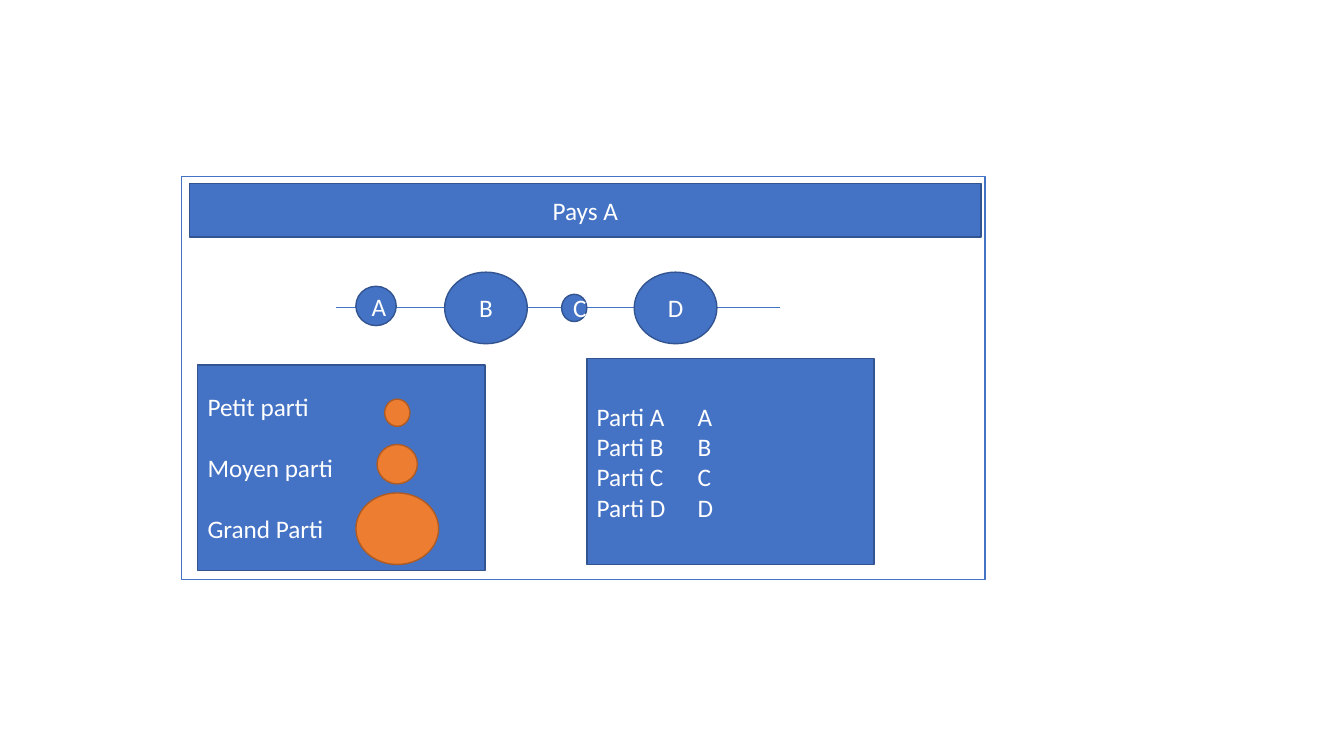
from pptx import Presentation
from pptx.dml.color import RGBColor
from pptx.enum.shapes import MSO_CONNECTOR, MSO_SHAPE
from pptx.enum.text import MSO_ANCHOR, PP_ALIGN
from pptx.oxml.ns import qn
from pptx.util import Inches, Pt
from lxml import etree

BLUE = RGBColor(0x44, 0x72, 0xC4)
DARK_BLUE = RGBColor(0x32, 0x54, 0x91)
ORANGE = RGBColor(0xED, 0x7D, 0x31)
DARK_ORANGE = RGBColor(0xAF, 0x5C, 0x24)
WHITE = RGBColor(0xFF, 0xFF, 0xFF)
PROCESS = MSO_SHAPE.FLOWCHART_PROCESS
CIRCLE = MSO_SHAPE.FLOWCHART_CONNECTOR
STRAIGHT = MSO_CONNECTOR.STRAIGHT
MIDDLE = MSO_ANCHOR.MIDDLE
LEFT, CENTER = PP_ALIGN.LEFT, PP_ALIGN.CENTER

SMALL = (0.25, 0.27)
MEDIUM = (0.4, 0.39)
LARGE = (0.82, 0.71)
PANEL = (2.85, 2.04)

deck = Presentation()
deck.slide_width, deck.slide_height = Inches(13.33), Inches(7.5)
page = deck.slides.add_slide(deck.slide_layouts[6])


def add_box(kind, left, top, size, fill=BLUE, outline=DARK_BLUE):
    box = page.shapes.add_shape(kind, Inches(left), Inches(top), Inches(size[0]), Inches(size[1]))
    box.shadow.inherit = False
    box.fill.solid()
    box.fill.fore_color.rgb = fill
    box.line.color.rgb = outline
    box.line.width = Pt(1)
    return box


def add_text(box, lines, align=CENTER, gap=0):
    frame = box.text_frame
    frame.word_wrap = True
    frame.vertical_anchor = MIDDLE
    for index, line in enumerate(lines):
        para = frame.add_paragraph() if index else frame.paragraphs[0]
        para.alignment = align
        if index:
            para.space_before = Pt(gap)
        span = para.add_run()
        span.text = line
        span.font.name = "Calibri"
        span.font.size = Pt(18)
        span.font.color.rgb = WHITE


add_box(PROCESS, 1.8, 1.75, (7.97, 4), WHITE, BLUE)

axis = page.shapes.add_connector(STRAIGHT, Inches(3.33), Inches(3.05), Inches(7.74), Inches(3.05))
axis.line.color.rgb = BLUE
axis.line.width = Pt(0.5)
etree.SubElement(axis._element.spPr, qn("a:effectLst"))

parties = [
    ("A", 3.53, 2.84, MEDIUM),
    ("B", 4.41, 2.7, LARGE),
    ("D", 6.29, 2.7, LARGE),
    ("C", 5.57, 2.92, SMALL),
]
for name, left, top, size in parties:
    add_text(add_box(CIRCLE, left, top, size), [name])

add_text(add_box(PROCESS, 1.88, 1.82, (7.85, 0.53)), ["Pays A"])

size_legend = add_box(PROCESS, 1.96, 3.62, PANEL)
add_text(size_legend, ["Petit parti", "Moyen parti", "Grand Parti"], LEFT, 22)
for top, size in [(3.96, SMALL), (4.41, MEDIUM), (4.89, LARGE)]:
    add_box(CIRCLE, 3.94 - size[0] / 2, top, size, ORANGE, DARK_ORANGE)

name_legend = add_box(PROCESS, 5.82, 3.56, PANEL)
add_text(name_legend, [f"Parti {name}\t{name}" for name in "ABCD"], LEFT)

deck.save("out.pptx")
